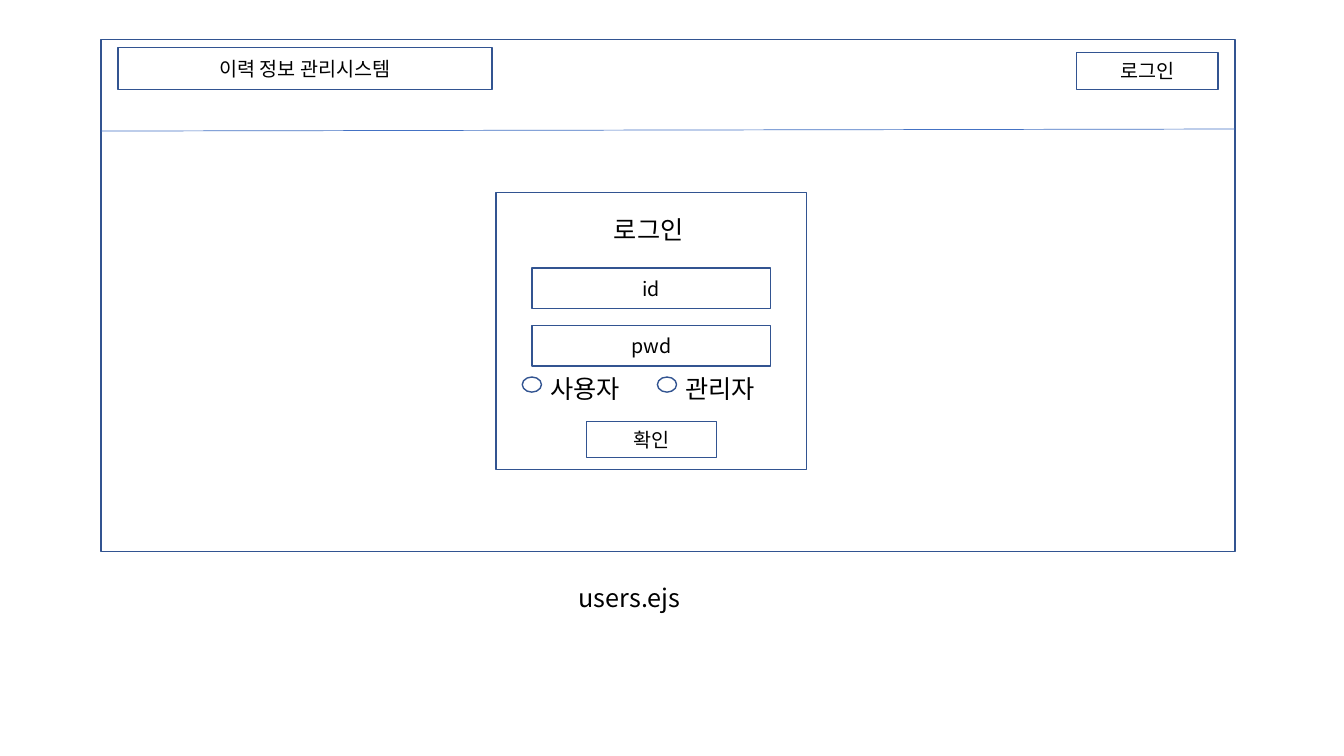
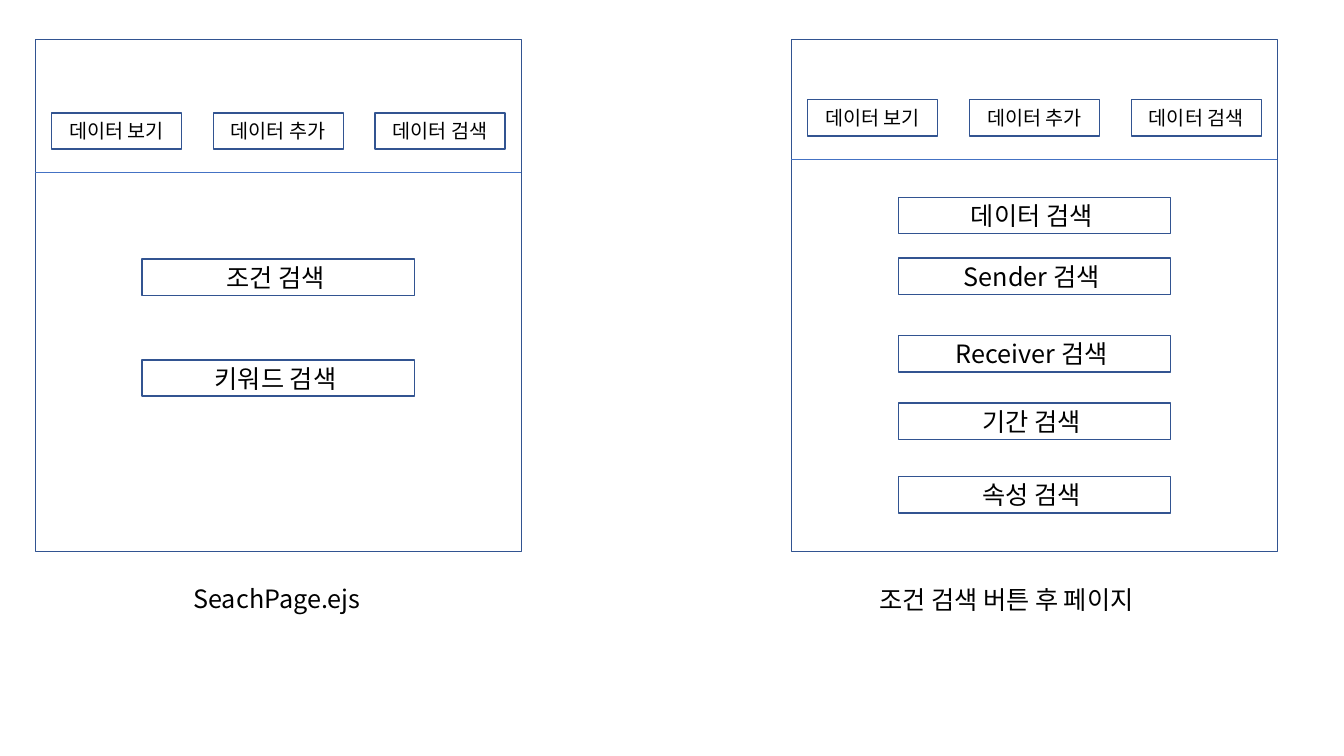
from lxml import etree
from pptx import Presentation
from pptx.dml.color import RGBColor
from pptx.enum.shapes import MSO_CONNECTOR, MSO_SHAPE
from pptx.enum.text import MSO_ANCHOR, PP_ALIGN
from pptx.oxml.ns import qn
from pptx.util import Inches, Pt

RECTANGLE = MSO_SHAPE.RECTANGLE
OVAL = MSO_SHAPE.OVAL
STRAIGHT = MSO_CONNECTOR.STRAIGHT
LEFT, CENTER = PP_ALIGN.LEFT, PP_ALIGN.CENTER
TOP, MIDDLE = MSO_ANCHOR.TOP, MSO_ANCHOR.MIDDLE

OUTLINE = RGBColor(0x32, 0x54, 0x91)
DIVIDER = RGBColor(0x44, 0x72, 0xC4)
BLACK = RGBColor(0, 0, 0)
FONT = "Noto Sans CJK KR"

BUTTON_SIZE, LABEL_SIZE = 14, 18
BUTTON_WIDTH, BUTTON_HEIGHT = 1.29, 0.36
LABEL_HEIGHT = 0.4
PAGE_TOP, PAGE_HEIGHT = 0.39, 5.08
NAVIGATION = ("데이터 보기", "데이터 추가", "데이터 검색")


def write_text(shape, text, size=LABEL_SIZE, align=LEFT, anchor=TOP):
    frame = shape.text_frame
    frame.word_wrap = True
    frame.vertical_anchor = anchor
    paragraph = frame.paragraphs[0]
    paragraph.alignment = align
    run = paragraph.add_run()
    run.text = text
    run.font.size = Pt(size)
    run.font.color.rgb = BLACK
    run.font.name = FONT
    east_asian = etree.SubElement(run.font._element, qn("a:ea"))
    east_asian.set("typeface", FONT)


def add_label(slide, left, top, width, text):
    label = slide.shapes.add_textbox(
        Inches(left), Inches(top), Inches(width), Inches(LABEL_HEIGHT))
    write_text(label, text)


def add_outline(slide, left, top, width, height, text="", size=BUTTON_SIZE, kind=RECTANGLE):
    """Add an unfilled shape, with centred text if any is given."""
    shape = slide.shapes.add_shape(
        kind, Inches(left), Inches(top), Inches(width), Inches(height))
    shape.shadow.inherit = False
    shape.fill.background()
    shape.line.color.rgb = OUTLINE
    shape.line.width = Pt(1)
    if text:
        write_text(shape, text, size, CENTER, MIDDLE)


def add_divider(slide, left, start_top, width, end_top):
    line = slide.shapes.add_connector(
        STRAIGHT, Inches(left), Inches(start_top), Inches(left + width), Inches(end_top))
    line.line.color.rgb = DIVIDER
    line.line.width = Pt(0.5)
    etree.SubElement(line._element.spPr, qn("a:effectLst"))


def add_site_header(slide, left, top, width):
    add_outline(slide, left + 0.17, top + 0.08, 3.71, 0.42, "이력 정보 관리시스템")
    add_outline(slide, left + width - 1.57, top + 0.13, 1.4, 0.37, "로그인")
    add_divider(slide, left, top + 0.91, width, top + 0.89)


def add_login_form(slide, left, top):
    width, field_width = 3.08, 2.37
    add_outline(slide, left, top, width, 2.75)
    add_label(slide, left + 1.07, top + 0.17, 1.3, "로그인")
    for row, field in enumerate(("id", "pwd")):
        add_outline(slide, left + (width - field_width) / 2, top + 0.75 + row * 0.57,
                    field_width, 0.4, field)
    for column, role in enumerate(("사용자", "관리자")):
        option_left = left + 0.26 + column * 1.34
        add_outline(slide, option_left, top + 1.83, 0.19, 0.15, kind=OVAL)
        add_label(slide, option_left + 0.18, top + 1.74, 1.17, role)
    add_outline(slide, left + (width - BUTTON_WIDTH) / 2, top + 2.27,
                BUTTON_WIDTH, BUTTON_HEIGHT, "확인")


def add_navigation(slide, left, top, width):
    """Spread the buttons evenly over the page, with a divider below."""
    margin = 0.16
    step = (width - 2 * margin - BUTTON_WIDTH) / (len(NAVIGATION) - 1)
    for index, text in enumerate(NAVIGATION):
        add_outline(slide, left + margin + index * step, top,
                    BUTTON_WIDTH, BUTTON_HEIGHT, text)
    add_divider(slide, left, top + 0.59, width, top + 0.59)


def add_search_page(slide, left, navigation_top, searches):
    """Draw a search page; searches pairs each button's text with its top."""
    width, search_width = 4.82, 2.7
    add_outline(slide, left, PAGE_TOP, width, PAGE_HEIGHT)
    add_navigation(slide, left, PAGE_TOP + navigation_top, width)
    for text, top in searches:
        add_outline(slide, left + (width - search_width) / 2, PAGE_TOP + top,
                    search_width, BUTTON_HEIGHT, text, LABEL_SIZE)


def build_login_slide(slide):
    left, width = 1, 11.25
    add_outline(slide, left, PAGE_TOP, width, PAGE_HEIGHT)
    add_site_header(slide, left, PAGE_TOP, width)
    add_login_form(slide, left + 3.92, PAGE_TOP + 1.52)
    add_label(slide, 5.64, 5.73, 3.27, "users.ejs")


def build_search_slide(slide):
    add_search_page(slide, 0.35, 0.73, (("조건 검색 ", 2.18), ("키워드 검색 ", 3.18)))
    add_label(slide, 1.82, 5.74, 3.27, "SeachPage.ejs")
    add_search_page(slide, 7.85, 0.6, (
        ("데이터 검색 ", 1.57),
        ("Sender 검색 ", 2.17),
        ("Receiver 검색 ", 2.94),
        ("기간 검색 ", 3.61),
        ("속성 검색 ", 4.34),
    ))
    add_label(slide, 8.62, 5.75, 3.27, "조건 검색 버튼 후 페이지")


def main():
    presentation = Presentation()
    presentation.slide_width = Inches(13.33)
    presentation.slide_height = Inches(7.5)
    blank = presentation.slide_layouts[6]
    for build in (build_login_slide, build_search_slide):
        build(presentation.slides.add_slide(blank))
    presentation.save("out.pptx")


if __name__ == "__main__":
    main()
